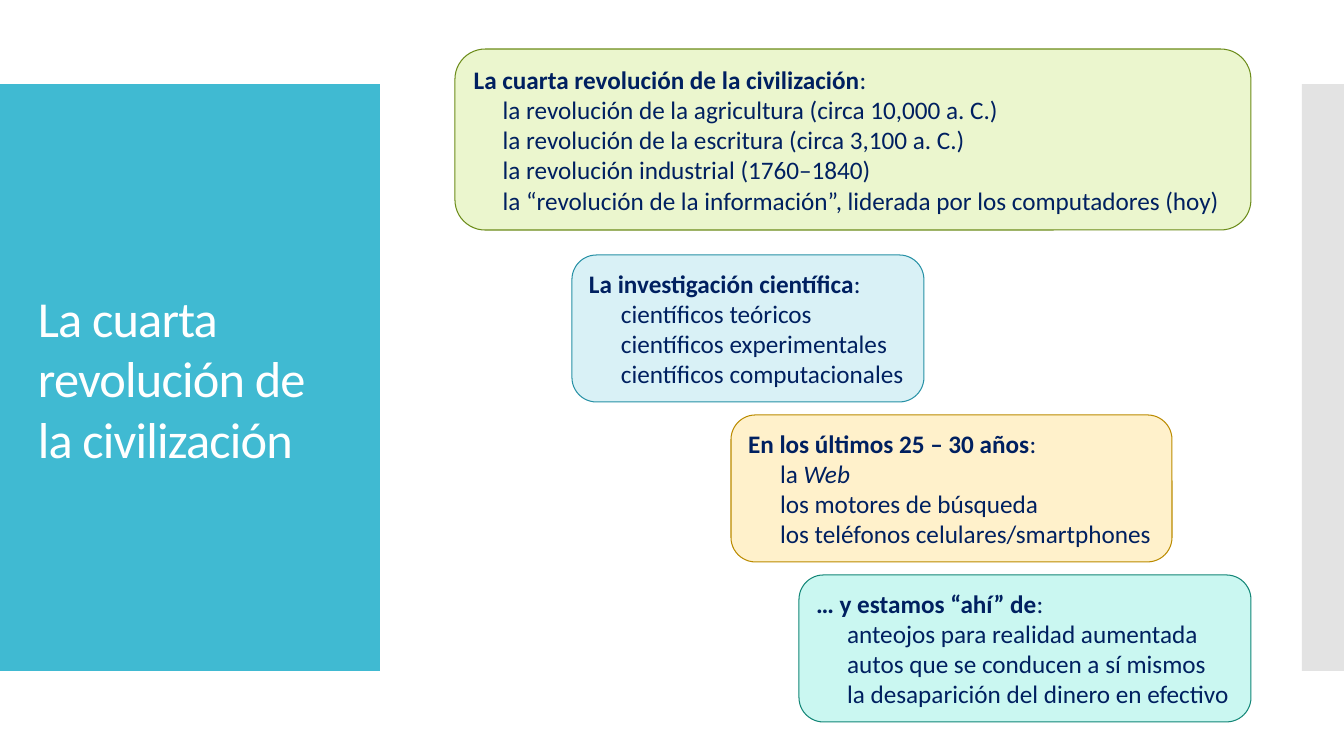
from lxml.etree import SubElement
from pptx import Presentation
from pptx.dml.color import RGBColor
from pptx.enum.shapes import MSO_SHAPE
from pptx.enum.text import MSO_ANCHOR, MSO_AUTO_SIZE, PP_ALIGN
from pptx.oxml.ns import qn
from pptx.util import Emu, Pt


def px(length):
    return Emu(round(length * 914400 / 100.8))


def color(hex_code):
    return RGBColor.from_string(hex_code)


class SlideBuilder:
    font_name = "Calibri"
    ink = "002060"

    def __init__(self, slide):
        self.slide = slide

    def block(self, kind, bounds, fill, line=None):
        """Filled shape, with an optional thin outline."""
        block = self.slide.shapes.add_shape(kind, *map(px, bounds))
        block.shadow.inherit = False
        block.fill.solid()
        block.fill.fore_color.rgb = color(fill)
        if line:
            block.line.color.rgb = color(line)
            block.line.width = Pt(0.75)
        else:
            block.line.fill.background()
        return block

    def panel(self, bounds, fill, opacity=100):
        """Plain side panel, possibly translucent."""
        panel = self.block(MSO_SHAPE.RECTANGLE, bounds, fill)
        if opacity < 100:
            tint = panel.fill._xPr.find(qn("a:solidFill"))[0]
            SubElement(tint, qn("a:alpha"), val=str(opacity * 1000))

    def run(self, paragraph, text, size, hex_code, **formats):
        run = paragraph.add_run()
        run.text = text
        run.font.color.rgb = color(hex_code)
        formats = {"name": self.font_name, "size": Pt(size), **formats}
        for name, value in formats.items():
            setattr(run.font, name, value)
        return run

    def title(self, bounds, text):
        box = self.slide.shapes.add_textbox(*map(px, bounds))
        frame = box.text_frame
        frame.word_wrap = True
        frame.vertical_anchor = MSO_ANCHOR.MIDDLE
        run = self.run(frame.paragraphs[0], text, 36, "FFFFFF")
        run.font._element.set("spc", "-60")

    def card(self, bounds, fill, line, hanging, wrap, heading, items):
        """Rounded card: bold heading, then indented items."""
        card = self.block(MSO_SHAPE.ROUNDED_RECTANGLE, bounds, fill, line)
        frame = card.text_frame
        frame.word_wrap = wrap
        frame.auto_size = MSO_AUTO_SIZE.SHAPE_TO_FIT_TEXT
        frame.vertical_anchor = MSO_ANCHOR.MIDDLE
        first = frame.paragraphs[0]
        first.alignment = PP_ALIGN.LEFT
        self.run(first, heading, 18, self.ink, bold=True)
        self.run(first, ":", 18, self.ink)
        for item in items:
            paragraph = frame.add_paragraph()
            paragraph.alignment = PP_ALIGN.LEFT
            paragraph.level = 1
            properties = paragraph._p.get_or_add_pPr()
            properties.set("marL", str(px(57)))
            properties.set("indent", str(-px(hanging)))
            # Every second piece between asterisks is italic
            for index, piece in enumerate(item.split("*")):
                if piece:
                    self.run(paragraph, piece, 18, self.ink, italic=index % 2 == 1)


# Bounds, fill, line, hanging indent, wrap, heading, items
CARDS = [
    ((455, 49, 796, 181), "EBF6CE", "6C8C1A", 28, True,
     "La cuarta revolución de la civilización",
     ["la revolución de la agricultura (circa 10,000 a. C.)",
      "la revolución de la escritura (circa 3,100 a. C.)",
      "la revolución industrial (1760–1840)",
      "la “revolución de la información”, liderada por los computadores (hoy)"]),
    ((572, 255, 352, 147), "D9F1F6", "2791A6", 25, False,
     "La investigación científica",
     ["científicos teóricos",
      "científicos experimentales",
      "científicos computacionales"]),
    ((731, 415, 441, 147), "FFF1CB", "BB8B00", 25, False,
     "En los últimos 25 – 30 años",
     ["la *Web*",
      "los motores de búsqueda",
      "los teléfonos celulares/smartphones"]),
    ((799, 575, 452, 147), "CAF7F1", "138677", 26, False,
     "… y estamos “ahí” de",
     ["anteojos para realidad aumentada",
      "autos que se conducen a sí mismos",
      "la desaparición del dinero en efectivo"]),
]


def main():
    presentation = Presentation()
    presentation.slide_width, presentation.slide_height = px(1344), px(756)
    builder = SlideBuilder(
        presentation.slides.add_slide(presentation.slide_layouts[6]))

    # Side panels
    builder.panel((0, 84, 380, 587), "40BAD2")
    builder.panel((1302, 84, 42, 587), "C8C8C8", opacity=50)

    # Title
    builder.title((28, 124, 325, 507), "La cuarta revolución de la civilización")

    # Cascade of cards
    for card in CARDS:
        builder.card(*card)

    presentation.save("out.pptx")


if __name__ == "__main__":
    main()
